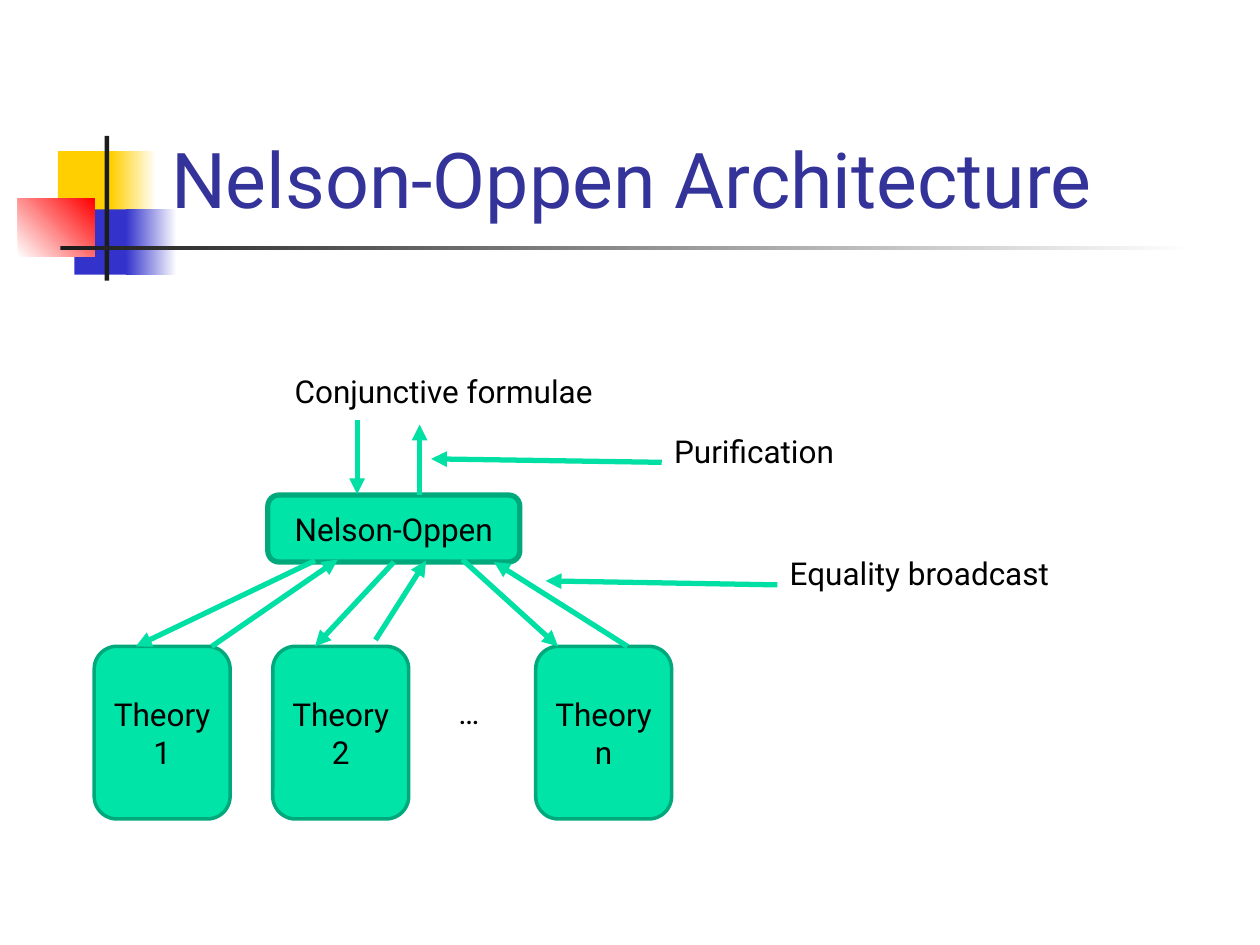
from lxml import etree
from pptx import Presentation
from pptx.dml.color import RGBColor
from pptx.enum.shapes import MSO_CONNECTOR, MSO_SHAPE
from pptx.enum.text import MSO_ANCHOR, PP_ALIGN
from pptx.oxml.ns import qn
from pptx.util import Cm, Pt

RECT, ROUND = MSO_SHAPE.RECTANGLE, MSO_SHAPE.ROUNDED_RECTANGLE
STRAIGHT = MSO_CONNECTOR.STRAIGHT
LEFT, CENTER = PP_ALIGN.LEFT, PP_ALIGN.CENTER
TOP, MIDDLE, BOTTOM = MSO_ANCHOR.TOP, MSO_ANCHOR.MIDDLE, MSO_ANCHOR.BOTTOM

FONT = "Roboto"
WHITE, BLACK, DARK = "FFFFFF", "000000", "1C1C1C"
GOLD, BLUE, RED = "FFCF01", "3333CC", "FF0000"
MINT, EDGE, ARROW = "00E4A8", "00A97C", "00DFA4"
ROW = 13.03  # top of the theory boxes, in cm


def rgb(code):
    return RGBColor.from_string(code)


def write(shape, text, size=18, color=BLACK, align=LEFT, anchor=TOP):
    frame = shape.text_frame
    frame.word_wrap = True
    frame.vertical_anchor = anchor
    frame.text = text
    for par in frame.paragraphs:
        par.alignment = align
        par.font.size = Pt(size)
        par.font.name = FONT
        par.font.color.rgb = rgb(color)


def label(slide, box, text, **style):
    write(slide.shapes.add_textbox(*map(Cm, box)), text, **style)


def block(slide, box, color, fade=None, angle=0, kind=RECT):
    """Borderless shape, plain or with a gradient from color to fade."""
    shape = slide.shapes.add_shape(kind, *map(Cm, box))
    shape.shadow.inherit = False
    shape.line.fill.background()
    if fade:
        shape.fill.gradient()
        shape.fill.gradient_angle = angle
        for stop, code in zip(shape.fill.gradient_stops, (color, fade)):
            stop.color.rgb = rgb(code)
    else:
        shape.fill.solid()
        shape.fill.fore_color.rgb = rgb(color)
    return shape


def node(slide, box, text, width):
    shape = block(slide, box, MINT, kind=ROUND)
    shape.line.color.rgb = rgb(EDGE)
    shape.line.width = Pt(width)
    write(shape, text, align=CENTER, anchor=MIDDLE)
    return shape


def arrow(slide, *ends):
    line = slide.shapes.add_connector(STRAIGHT, *map(Cm, ends))
    line.line.color.rgb = rgb(ARROW)
    line.line.width = Pt(3)
    props = line.line._get_or_add_ln()
    etree.SubElement(props, qn("a:tailEnd"), type="triangle")
    etree.SubElement(line._element.spPr, qn("a:effectLst"))
    return line


def banner(slide):
    block(slide, (1.17, 3.05, 1.22, 1.32), GOLD)
    block(slide, (2.24, 3.05, 0.91, 1.32), GOLD, WHITE)
    block(slide, (1.5, 4.22, 1.17, 1.32), BLUE)
    block(slide, (2.54, 4.22, 1.02, 1.32), BLUE, WHITE)
    block(slide, (0.36, 4.01, 1.55, 1.17), WHITE, RED, angle=45)
    block(slide, (2.11, 2.74, 0.09, 2.92), DARK)
    block(slide, (1.22, 4.95, 22.86, 0.09), DARK, WHITE)
    label(slide, (3.2, 0.58, 21.64, 4.06), "Nelson-Oppen Architecture",
          size=44, color="333399", anchor=BOTTOM)


def diagram(slide):
    core = node(slide, (5.4, 9.98, 5.08, 1.35), "Nelson-Oppen", 3)
    for left, name in ((1.9, "1"), (5.5, "2"), (10.8, "n")):
        node(slide, (left, ROW, 2.74, 3.48), f"Theory\n{name}", 2)

    for ends in (
        (7.2, 8.46, 7.2, 9.96),  # formulae in and out
        (8.46, 9.98, 8.46, 8.56),
        (6.35, 11.3, 2.74, ROW),  # down to theories 1 and n
        (9.32, 11.28, 11.25, ROW),
        (4.27, ROW, 6.81, 11.28),  # back up from each theory
        (7.57, 12.9, 8.59, 11.3),
        (12.65, ROW, 9.96, 11.33),
        (13.34, 9.32, 8.69, 9.25),  # pointers from the notes
        (15.67, 11.79, 11, 11.71),
    ):
        arrow(slide, *ends)
    arrow(slide, 7.94, 11.33, 6.35, ROW).begin_connect(core, 2)

    for left, top, width, text in (
        (5.69, 7.37, 6.96, "Conjunctive formulae"),
        (8.99, 13.84, 3.61, "…"),
        (13.34, 8.59, 7.62, "Purification"),
        (15.67, 11.05, 7.62, "Equality broadcast"),
    ):
        label(slide, (left, top, width, 1.02), text)


def main():
    deck = Presentation()
    deck.slide_width, deck.slide_height = Cm(25.4), Cm(19.05)
    slide = deck.slides.add_slide(deck.slide_layouts[6])
    banner(slide)
    diagram(slide)
    deck.save("out.pptx")


if __name__ == "__main__":
    main()
